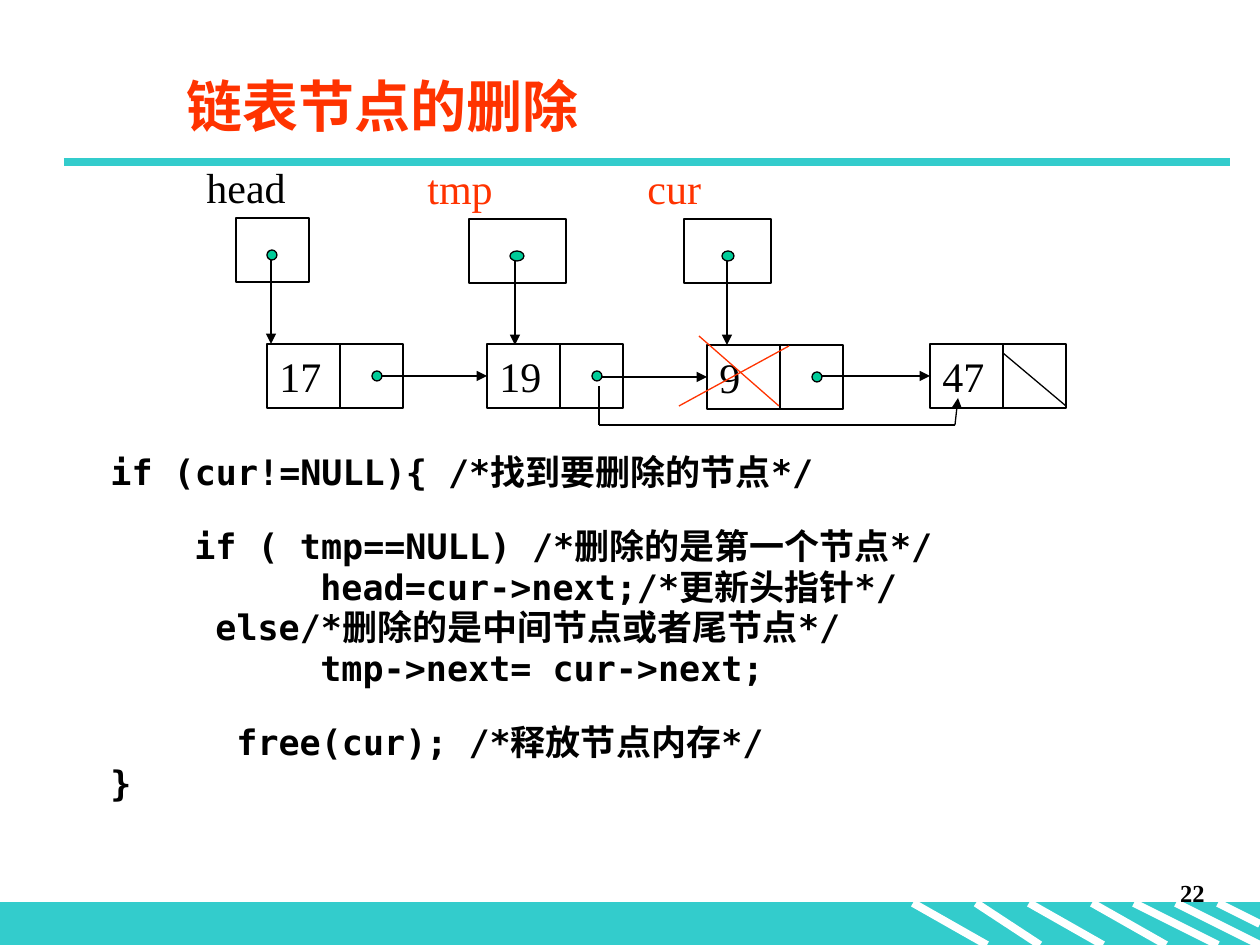
from dataclasses import dataclass

from lxml import etree
from pptx import Presentation
from pptx.dml.color import RGBColor
from pptx.enum.shapes import MSO_CONNECTOR, MSO_SHAPE
from pptx.enum.text import MSO_ANCHOR, MSO_AUTO_SIZE, PP_ALIGN
from pptx.oxml.ns import qn
from pptx.util import Pt

RECT, OVAL = MSO_SHAPE.RECTANGLE, MSO_SHAPE.OVAL
STRAIGHT = MSO_CONNECTOR.STRAIGHT
TOP, MIDDLE = MSO_ANCHOR.TOP, MSO_ANCHOR.MIDDLE
LEFT, RIGHT = PP_ALIGN.LEFT, PP_ALIGN.RIGHT
NO_AUTOFIT = MSO_AUTO_SIZE.NONE
LEFT_SIDE = 1
EMU_PER_PX = 914400 / 126


@dataclass(frozen=True)
class Theme:
    ink: str = "000000"
    accent: str = "FF3300"
    band: str = "33CCCC"
    dot: str = "00CC99"
    white: str = "FFFFFF"
    serif: str = "Times New Roman"
    sans: str = "Arial"
    mono: str = "DejaVu Sans Mono"
    title_size: int = 32
    label_size: int = 24
    code_size: int = 20
    number_size: int = 14
    thin: float = 0.75
    thick: float = 4.5


THEME = Theme()

NODE_WIDTH, NODE_HEIGHT, CELL_WIDTH = 136, 64, 73
DOT_SIZE, DOT_LEFT, DOT_TOP = 10, 105, 27
CODE_CHAR = 21  # width of one code character in px

# value, left, top, has a next pointer
NODES = [("17", 267, 344, True), ("19", 487, 344, True),
         ("9", 707, 345, True), ("47", 930, 344, False)]

# name, colour, top, label left, box left, box width, dot left, dot width, arrow x
POINTERS = [
    ("head", THEME.ink, 155, 194, 236, 73, 267, 10, 271),
    ("tmp", THEME.accent, 156, 415, 469, 97, 510, 14, 515),
    ("cur", THEME.accent, 156, 635, 684, 87, 722, 12, 727),
]

# indent in characters, blank line above, text
CODE = [
    (3, False, "if (cur!=NULL){ /*找到要删除的节点*/"),
    (7, True, "if ( tmp==NULL) /*删除的是第一个节点*/"),
    (13, False, "head=cur->next;/*更新头指针*/"),
    (8, False, "else/*删除的是中间节点或者尾节点*/"),
    (13, False, "tmp->next= cur->next;"),
    (9, True, "free(cur); /*释放节点内存*/"),
    (3, False, "}"),
]

# start x, end x, end y
STRIPES = [(913, 987, 945), (976, 1040, 945), (1029, 1103, 945),
           (1092, 1166, 945), (1134, 1218, 945), (1176, 1260, 945),
           (1218, 1260, 924)]


def px(length):
    return round(length * EMU_PER_PX)


def write(para, text, *, size, font, color=THEME.ink, bold=False, align=LEFT):
    para.alignment = align
    span = para.add_run()
    span.text = text
    span.font.size, span.font.name, span.font.bold = Pt(size), font, bold
    span.font.color.rgb = RGBColor.from_string(color)


def add_text_box(page, x, y, w, h):
    box = page.shapes.add_textbox(px(x), px(y), px(w), px(h))
    box.text_frame.word_wrap = True
    return box.text_frame


def add_box(page, kind, x, y, w, h, fill=None, line=THEME.ink):
    box = page.shapes.add_shape(kind, px(x), px(y), px(w), px(h))
    box.shadow.inherit = False
    if fill:
        box.fill.solid()
        box.fill.fore_color.rgb = RGBColor.from_string(fill)
    else:
        box.fill.background()
    box.line.color.rgb = RGBColor.from_string(line)
    box.line.width = Pt(THEME.thin)
    return box


def add_line(page, x1, y1, x2, y2, color=THEME.ink, width=THEME.thin, arrow=False):
    line = page.shapes.add_connector(STRAIGHT, px(x1), px(y1), px(x2), px(y2))
    line.line.color.rgb = RGBColor.from_string(color)
    line.line.width = Pt(width)
    properties = line._element.spPr
    if arrow:
        etree.SubElement(properties.find(qn("a:ln")), qn("a:tailEnd"), type="triangle")
    etree.SubElement(properties, qn("a:effectLst"))
    return line


def add_frame(page):
    # Bottom band with its stripes, rule under the title, page number
    add_box(page, RECT, 0, 903, 1260, 42, THEME.band, THEME.band)
    for start, end, bottom in STRIPES:
        add_line(page, start, 903, end, bottom, THEME.white, THEME.thick)
    add_line(page, 64, 162, 1230, 162, THEME.band, THEME.thick)
    frame = add_text_box(page, 955, 872, 262, 63)
    write(frame.paragraphs[0], "22", size=THEME.number_size, font=THEME.serif,
          bold=True, align=RIGHT)


def add_title(page, text):
    title = page.shapes.title
    title.left, title.top, title.width, title.height = px(174), px(55), px(1071), px(100)
    frame = title.text_frame
    frame.auto_size, frame.vertical_anchor = NO_AUTOFIT, MIDDLE
    write(frame.paragraphs[0], text, size=THEME.title_size, font=THEME.sans,
          color=THEME.accent, bold=True)


def add_code(page):
    frame = add_text_box(page, 35, 452, 1140, 373)
    for number, (indent, gap, text) in enumerate(CODE):
        para = frame.add_paragraph() if number else frame.paragraphs[0]
        para.line_spacing = 0.8
        para.space_before = Pt(23.3 if gap else 4)
        para._p.get_or_add_pPr().set("marL", str(px(indent * CODE_CHAR)))
        write(para, text, size=THEME.code_size, font=THEME.mono, bold=True)


def add_node(page, value, x, y, has_next):
    box = add_box(page, RECT, x, y, NODE_WIDTH, NODE_HEIGHT)
    box.text_frame.vertical_anchor = TOP
    write(box.text_frame.paragraphs[0], value, size=THEME.label_size, font=THEME.serif)
    divider = x + CELL_WIDTH
    add_line(page, divider, y, divider, y + NODE_HEIGHT - 1)
    if has_next:
        add_box(page, OVAL, x + DOT_LEFT, y + DOT_TOP, DOT_SIZE, DOT_SIZE, THEME.dot)
    else:
        add_line(page, divider, y + 9, x + NODE_WIDTH, y + 62)
    return box


def add_list(page):
    boxes = [add_node(page, *node) for node in NODES]
    # Each next pointer runs level into the following node
    for (_, x, _, _), (_, next_x, next_y, _), target in zip(NODES, NODES[1:], boxes[1:]):
        middle = next_y + NODE_HEIGHT // 2
        arrow = add_line(page, x + DOT_LEFT + DOT_SIZE, middle, next_x, middle, arrow=True)
        arrow.end_connect(target, LEFT_SIDE)


def add_pointer(page, name, color, top, label_x, box_x, box_w, dot_x, dot_w, arrow_x):
    frame = add_text_box(page, label_x, top, 168, 63)
    write(frame.paragraphs[0], name, size=THEME.label_size, font=THEME.serif, color=color)
    add_box(page, RECT, box_x, top + 63, box_w, NODE_HEIGHT)
    add_box(page, OVAL, dot_x, top + 95, dot_w, DOT_SIZE, THEME.dot)
    add_line(page, arrow_x, top + 105, arrow_x, top + 189, arrow=True)


def add_deletion(page):
    # New link that goes round the deleted node
    add_line(page, 599, 386, 599, 425)
    add_line(page, 599, 425, 955, 425)
    add_line(page, 955, 425, 958, 398, arrow=True)
    # Cross over the deleted node
    add_line(page, 789, 346, 679, 406, THEME.accent)
    add_line(page, 699, 336, 779, 406, THEME.accent)


def main():
    deck = Presentation()
    deck.slide_width, deck.slide_height = px(1260), px(945)
    page = deck.slides.add_slide(deck.slide_layouts[5])
    add_frame(page)
    add_title(page, "链表节点的删除")
    add_code(page)
    add_list(page)
    for pointer in POINTERS:
        add_pointer(page, *pointer)
    add_deletion(page)
    deck.save("out.pptx")


if __name__ == "__main__":
    main()
